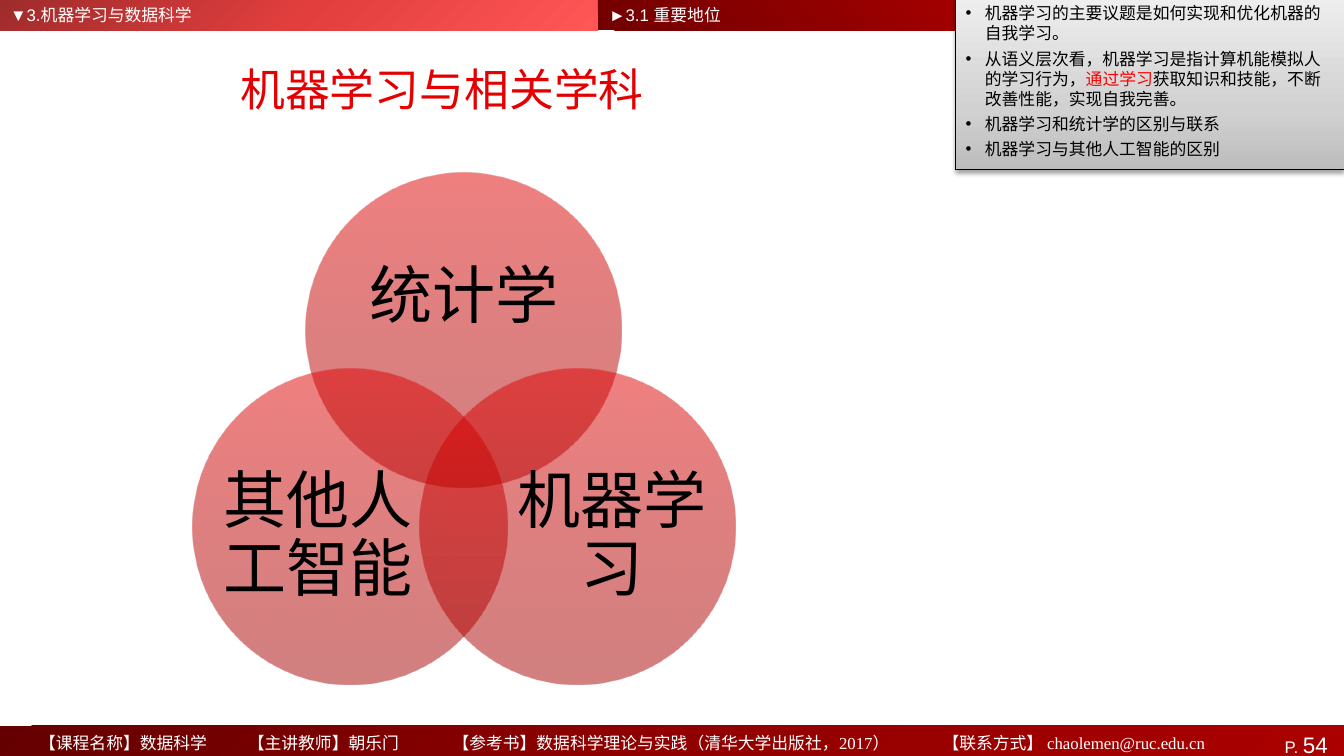
from pptx import Presentation
from pptx.dml.color import RGBColor
from pptx.enum.shapes import MSO_SHAPE as Shape
from pptx.enum.text import MSO_ANCHOR as Anchor, MSO_AUTO_SIZE as AutoSize, PP_ALIGN as Align
from pptx.oxml import parse_xml
from pptx.oxml.ns import nsdecls
from pptx.util import Inches, Pt

WHITE = RGBColor(0xFF, 0xFF, 0xFF)
BLACK = RGBColor(0, 0, 0)
TITLE_RED = RGBColor(0xE4, 0, 0)
KEY_RED = RGBColor(0xFF, 0, 0)
CJK = "Noto Sans CJK SC"

WIDTH, HEIGHT = 13.33, 7.5
BAR = 0.04 * HEIGHT          # height of the top bars
SPLIT = 5.93                 # where the two top bars meet
NOTE_LEFT = 9.48

presentation = Presentation()
presentation.slide_width = Inches(WIDTH)
presentation.slide_height = Inches(HEIGHT)
slide = presentation.slides.add_slide(presentation.slide_layouts[3])
title, chapter, section = slide.placeholders


def add_gradient_shape(kind, box, stops, angle, alpha=100):
    shape = slide.shapes.add_shape(kind, *map(Inches, box))
    shape.shadow.inherit = False
    shape.line.fill.background()
    stop_xml = "".join(
        f'<a:gs pos="{position * 1000}"><a:srgbClr val="{RGBColor(*color)}">'
        f'<a:alpha val="{alpha * 1000}"/></a:srgbClr></a:gs>'
        for position, color in stops)
    shape._element.spPr.insert(2, parse_xml(
        f'<a:gradFill {nsdecls("a")} rotWithShape="1"><a:gsLst>{stop_xml}</a:gsLst>'
        f'<a:lin ang="{angle * 60000}" scaled="0"/></a:gradFill>'))
    return shape


def style(paragraph, size, color, font="Arial", align=Align.LEFT):
    paragraph.alignment = align
    paragraph.font.size = Pt(size)
    paragraph.font.color.rgb = color
    paragraph.font.name = font
    paragraph.font._element.append(parse_xml(f'<a:ea {nsdecls("a")} typeface="{CJK}"/>'))


# Top and bottom bars
add_gradient_shape(Shape.RECTANGLE, (0, 0, SPLIT, BAR),
                   [(0, (0x9F, 0x2B, 0x2B)), (50, (0xE2, 0x3E, 0x3E)), (100, (0xFF, 0x56, 0x56))], 45)
footer_bar = add_gradient_shape(Shape.RECTANGLE, (0, HEIGHT - BAR, WIDTH, 0.37),
                                [(0, (0x65, 0, 0)), (50, (0x90, 0, 0)), (100, (0xAB, 0, 0))], 45)
add_gradient_shape(Shape.RECTANGLE, (SPLIT, 0, WIDTH - SPLIT, BAR),
                   [(0, (0x72, 0, 0)), (50, (0xA2, 0, 0)), (100, (0xC0, 0, 0))], 315)

# Page number
footer_bar.text_frame.vertical_anchor = Anchor.TOP
page = footer_bar.text_frame.paragraphs[0]
page.add_run().text = "P. "
number = page.add_run()
number.text = "54 "
number.font.size = Pt(16)
style(page, 12, WHITE, align=Align.RIGHT)

# Course details, spaced by tab stops
footer = slide.shapes.add_textbox(*map(Inches, (0.29, 7.22, 12.26, 0.41))).text_frame
footer.word_wrap = True
details = footer.paragraphs[0]
details.text = "\t".join([
    "【课程名称】数据科学", "【主讲教师】朝乐门",
    "【参考书】数据科学理论与实践（清华大学出版社，2017）",
    "【联系方式】 chaolemen@ruc.edu.cn"])
tabs = "".join(f'<a:tab pos="{Inches(stop)}" algn="l"/>' for stop in (2.07, 4.1, 8.96))
details._p.get_or_add_pPr().append(parse_xml(f'<a:tabLst {nsdecls("a")}>{tabs}</a:tabLst>'))
style(details, 12, WHITE, "Times New Roman")

# Venn diagram: a top circle and two below, each with its label box
DIAMETER, CENTER = 3.13, 4.6
STEP_X, STEP_Y, VENN_TOP = 1.13, 1.95, 1.71
RED_STOPS = [(0, (0xA5, 0, 0)), (55, (0xC2, 0, 0)), (100, (0xE2, 0, 0))]
for label, column, row, label_box in [
        ("统计学", 0, 0, (3.46, 2.25, 2.29, 1.41)),
        ("机器学习", 1, 1, (5.13, 4.47, 1.88, 1.72)),
        ("其他人工智能", -1, 1, (2.21, 4.47, 1.88, 1.72))]:
    add_gradient_shape(Shape.OVAL,
                       (CENTER + column * STEP_X - DIAMETER / 2, VENN_TOP + row * STEP_Y,
                        DIAMETER, DIAMETER), RED_STOPS, 270, alpha=50)
    frame = slide.shapes.add_textbox(*map(Inches, label_box)).text_frame
    frame.word_wrap = True
    frame.vertical_anchor = Anchor.MIDDLE
    frame.margin_left = frame.margin_right = frame.margin_top = frame.margin_bottom = 0
    paragraph = frame.paragraphs[0]
    paragraph.text = label
    paragraph.line_spacing = 0.9
    style(paragraph, 45, BLACK, align=Align.CENTER)

# Title and the two headings in the top bars
for placeholder, text, box, size, color, font, align, anchor in [
        (title, "机器学习与相关学科", (0.44, 0.43, 7.89, 0.9), 32, TITLE_RED, CJK,
         Align.CENTER, Anchor.MIDDLE),
        (chapter, "▼3.机器学习与数据科学", (0, 0, 4.83, 0.29), 12, WHITE, "Arial",
         Align.LEFT, Anchor.TOP),
        (section, "►3.1 重要地位", (5.94, 0, 2.38, 0.29), 12, WHITE, "Arial",
         Align.LEFT, Anchor.TOP)]:
    slide.shapes._spTree.append(placeholder._element)
    placeholder.left, placeholder.top, placeholder.width, placeholder.height = map(Inches, box)
    frame = placeholder.text_frame
    frame.auto_size = AutoSize.NONE
    frame.vertical_anchor = anchor
    paragraph = frame.paragraphs[0]
    paragraph.text = text
    paragraph.space_before = Pt(0)
    properties = paragraph._p.get_or_add_pPr()
    properties.set("marL", "0")
    properties.set("indent", "0")
    properties.append(parse_xml(f'<a:buNone {nsdecls("a")}/>'))
    style(paragraph, size, color, font, align)

# Note box with key points
note = add_gradient_shape(
    Shape.RECTANGLE, (NOTE_LEFT, -0.02, WIDTH - NOTE_LEFT, 1.7),
    [(0, (0xBD,) * 3), (35, (0xD1,) * 3), (100, (0xEE,) * 3)], 270)
note.line.color.rgb = BLACK
note.line.width = Pt(0.5)
note._element.spPr.effectLst.append(parse_xml(
    f'<a:outerShdw {nsdecls("a")} blurRad="{Pt(3.5)}" dist="{Pt(2)}" dir="5400000" '
    'rotWithShape="0"><a:srgbClr val="000000"><a:alpha val="38000"/></a:srgbClr></a:outerShdw>'))
frame = note.text_frame
frame.word_wrap = True
frame.vertical_anchor = Anchor.TOP
KEY_PHRASE = "通过学习"
points = [
    ["机器学习的主要议题是如何实现和优化机器的自我学习。"],
    ["从语义层次看，机器学习是指计算机能模拟人的学习行为，", KEY_PHRASE,
     "获取知识和技能，不断改善性能，实现自我完善。"],
    ["机器学习和统计学的区别与联系"],
    ["机器学习与其他人工智能的区别"]]
for index, parts in enumerate(points):
    paragraph = frame.paragraphs[0] if index == 0 else frame.add_paragraph()
    for part in parts:
        run = paragraph.add_run()
        run.text = part
        if part == KEY_PHRASE:
            run.font.color.rgb = KEY_RED
    paragraph.space_before = Pt(3.6 if index else 0)
    properties = paragraph._p.get_or_add_pPr()
    properties.set("marL", str(Inches(0.19)))
    properties.set("indent", str(-Inches(0.19)))
    properties.append(parse_xml(f'<a:buFont {nsdecls("a")} typeface="Arial"/>'))
    properties.append(parse_xml(f'<a:buChar {nsdecls("a")} char="•"/>'))
    style(paragraph, 12, BLACK)

presentation.save("out.pptx")
